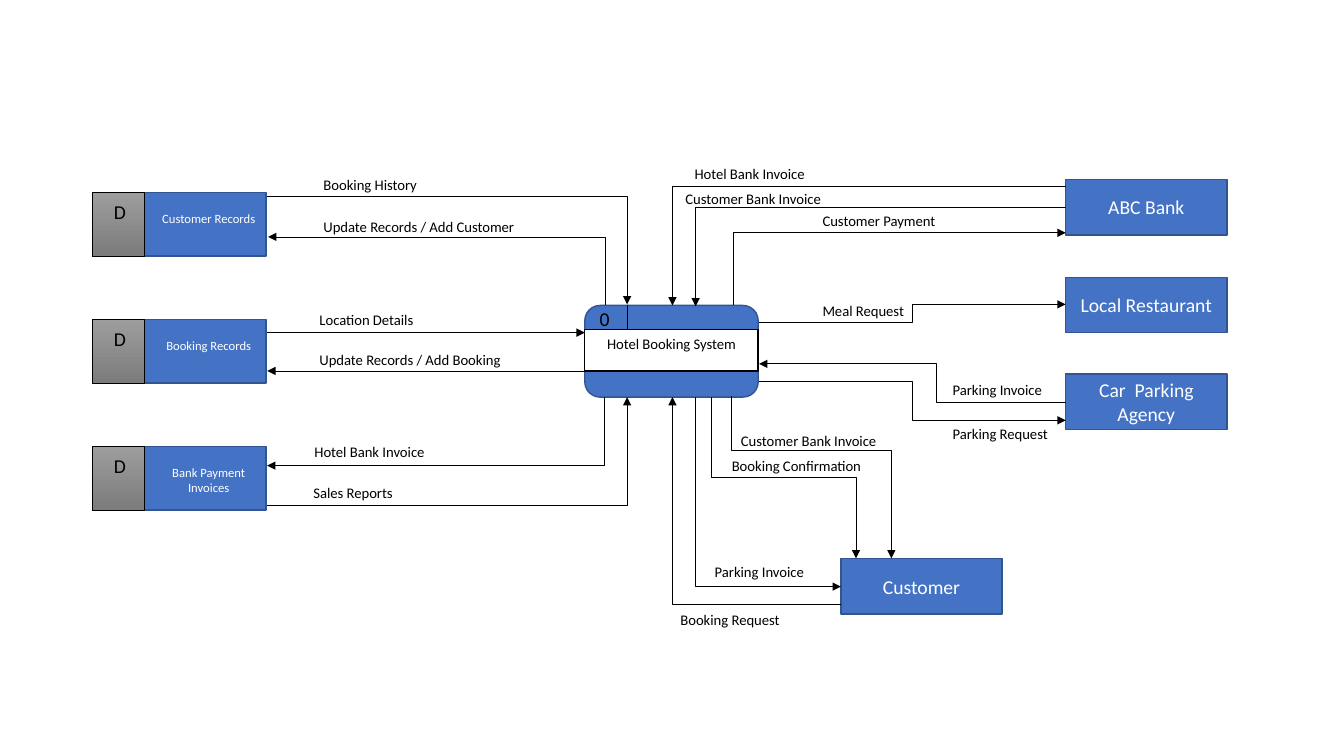
from lxml import etree
from pptx import Presentation
from pptx import util as u
from pptx.dml.color import RGBColor
from pptx.enum import shapes, text
from pptx.oxml.ns import qn

PX = 9144
FONT = "Calibri"
COLORS = {
    "blue": "4472C4",
    "edge": "325491",
    "black": "000000",
    "white": "FFFFFF",
    "grey_top": "9D9D9D",
    "grey_bottom": "7C7C7C",
}

ENTITIES = [
    ("ABC Bank", 1057, 178),
    ("Local Restaurant", 1057, 275),
    ("Car  Parking Agency", 1057, 371),
    ("Customer", 834, 554),
]
STORES = [("Customer Records", 25), ("Booking Records", 25), ("Bank Payment Invoices", 40)]

# label, label box, start, bend, end
FLOWS = [
    ("Booking History", (311, 169, 118), (265, 195), 622, (622, 302)),
    ("Update Records / Add Customer", (311, 211, 214), (600, 303), 600, (266, 235)),
    ("Location Details", (307, 303, 115), (265, 330), None, (580, 330)),
    ("Update Records / Add Booking", (307, 343, 204), (580, 368), None, (265, 368)),
    ("Hotel Bank Invoice", (302, 434, 132), (599, 394), 599, (265, 462)),
    ("Sales Reports", (301, 475, 100), (265, 501), 622, (622, 394)),
    ("Hotel Bank Invoice", (679, 159, 132), (1057, 185), 667, (667, 303)),
    ("Customer Bank Invoice", (670, 183, 157), (1057, 206), 690, (690, 304)),
    ("Customer Payment", (806, 205, 135), (727, 303), 727, (1057, 231)),
    ("Meal Request", (806, 294, 103), (753, 320), 905, (1057, 302)),
    ("Parking Invoice", (935, 373, 111), (1057, 399), 929, (753, 361)),
    ("Parking Request", (935, 417, 117), (753, 378), 905, (1057, 417)),
    ("Parking Invoice", (699, 553, 111), (690, 394), 690, (834, 582)),
    ("Booking Request", (665, 601, 121), (834, 600), 667, (667, 394)),
]
DROPS = [
    ("Customer Bank Invoice", (725, 423, 157), (725, 393), 447, (884, 554)),
    ("Booking Confirmation", (716, 448, 150), (706, 394), 474, (849, 554)),
]


def color(name):
    return RGBColor.from_string(COLORS[name])


def px(*lengths):
    return [round(length * PX) for length in lengths]


def write(shape, words, size, ink, align=text.PP_ALIGN.CENTER):
    shape.text_frame.text = words
    paragraph = shape.text_frame.paragraphs[0]
    paragraph.alignment = align
    font = paragraph.runs[0].font
    font.name, font.size = FONT, u.Pt(size)
    font.color.rgb = color(ink)


def add_label(parent, box, words, size, ink="black", wrap=False):
    label = parent.add_textbox(*px(*box))
    align = text.PP_ALIGN.CENTER if wrap else text.PP_ALIGN.LEFT
    write(label, words, size, ink, align)
    label.text_frame.word_wrap = wrap
    label.text_frame.auto_size = text.MSO_AUTO_SIZE.SHAPE_TO_FIT_TEXT


def add_block(parent, box, fill="blue", edge="edge", width=1, kind=shapes.MSO_SHAPE.RECTANGLE):
    block = parent.add_shape(kind, *px(*box))
    block.shadow.inherit = False
    if fill:
        block.fill.solid()
        block.fill.fore_color.rgb = color(fill)
    block.line.color.rgb = color(edge)
    block.line.width = u.Pt(width)
    return block


def add_line(parent, start, end, kind=shapes.MSO_CONNECTOR.STRAIGHT):
    line = parent.add_connector(kind, *px(*start, *end))
    line.line.color.rgb = color("black")
    line.line.width = u.Pt(0.5)
    etree.SubElement(line._element.spPr, qn("a:effectLst"))
    return line


def add_arrow(parent, start, bend, end, vertical=False):
    (x1, y1), (x2, y2) = start, end
    if bend is None:
        arrow = add_line(parent, start, end)
    else:
        middle_x, middle_y = (x1 + x2) / 2, (y1 + y2) / 2
        half_w, half_h = (x2 - x1) / 2, (y2 - y1) / 2
        if vertical:
            start = middle_x + half_h, middle_y - half_w
            end = middle_x - half_h, middle_y + half_w
        arrow = add_line(parent, start, end, shapes.MSO_CONNECTOR.ELBOW)
        properties = arrow._element.spPr
        if vertical:
            properties.find(qn("a:xfrm")).set("rot", "16200000")
        share = (bend - y1) / (y2 - y1) if vertical else (bend - x1) / (x2 - x1)
        adjustments = properties.find(qn("a:prstGeom")).find(qn("a:avLst"))
        etree.SubElement(adjustments, qn("a:gd"), name="adj1", fmla=f"val {round(share * 100000)}")
    outline = arrow._element.spPr.find(qn("a:ln"))
    etree.SubElement(outline, qn("a:tailEnd"), type="triangle")


def draw_process(slide, left, top, width, height):
    parts = slide.shapes.add_group_shape().shapes
    right, band_top, band_height = left + width, top + 24, 41
    add_block(parts, (left, top, width, height), kind=shapes.MSO_SHAPE.ROUNDED_RECTANGLE)
    for y in (band_top, band_top + band_height):
        add_line(parts, (left, y), (right, y))
    add_line(parts, (left + 42, band_top), (left + 42, top))
    add_block(parts, (left, band_top, width, band_height), "white", "black")
    add_label(parts, (left + 5, top - 3, 30, 34), "0", 14)
    add_label(parts, (left, band_top, width, 28), "Hotel Booking System", 10.5, wrap=True)


def draw_store(slide, left, top, width, height, name, name_height):
    parts = slide.shapes.add_group_shape().shapes
    add_block(parts, (left, top, width, height))
    tab = add_block(parts, (left, top, 51, height), None, "black", 0.5)
    tab.fill.gradient()
    tab.fill.gradient_angle = 270
    for stop, shade in zip(tab.fill.gradient_stops, ("grey_top", "grey_bottom")):
        stop.color.rgb = color(shade)
    add_label(parts, (left + 11, top + 2, 35, 34), "D", 14)
    add_label(parts, (left + 52, top + 13, 126, name_height), name, 9, "white", wrap=True)


def draw_entity(slide, left, top, width, height, name):
    entity = add_block(slide.shapes, (left, top, width, height))
    write(entity, name, 14, "white")
    entity.text_frame.word_wrap = True
    entity.text_frame.vertical_anchor = text.MSO_ANCHOR.MIDDLE


def draw_flows(slide, flows, vertical=False):
    for _, _, start, bend, end in flows:
        add_arrow(slide.shapes, start, bend, end, vertical)
    for name, label_box, *_ in flows:
        add_label(slide.shapes, (*label_box, 28), name, 10.5)


def main():
    presentation = Presentation()
    presentation.slide_width, presentation.slide_height = px(1333, 750)
    slide = presentation.slides.add_slide(presentation.slide_layouts[6])
    draw_process(slide, 580, 303, 172, 91)
    for name, left, top in ENTITIES:
        draw_entity(slide, left, top, 160, 55, name)
    for row, (name, name_height) in enumerate(STORES):
        draw_store(slide, 92, 191 + 126 * row, 172, 63, name, name_height)
    draw_flows(slide, FLOWS)
    draw_flows(slide, DROPS, vertical=True)
    presentation.save("out.pptx")


if __name__ == "__main__":
    main()
